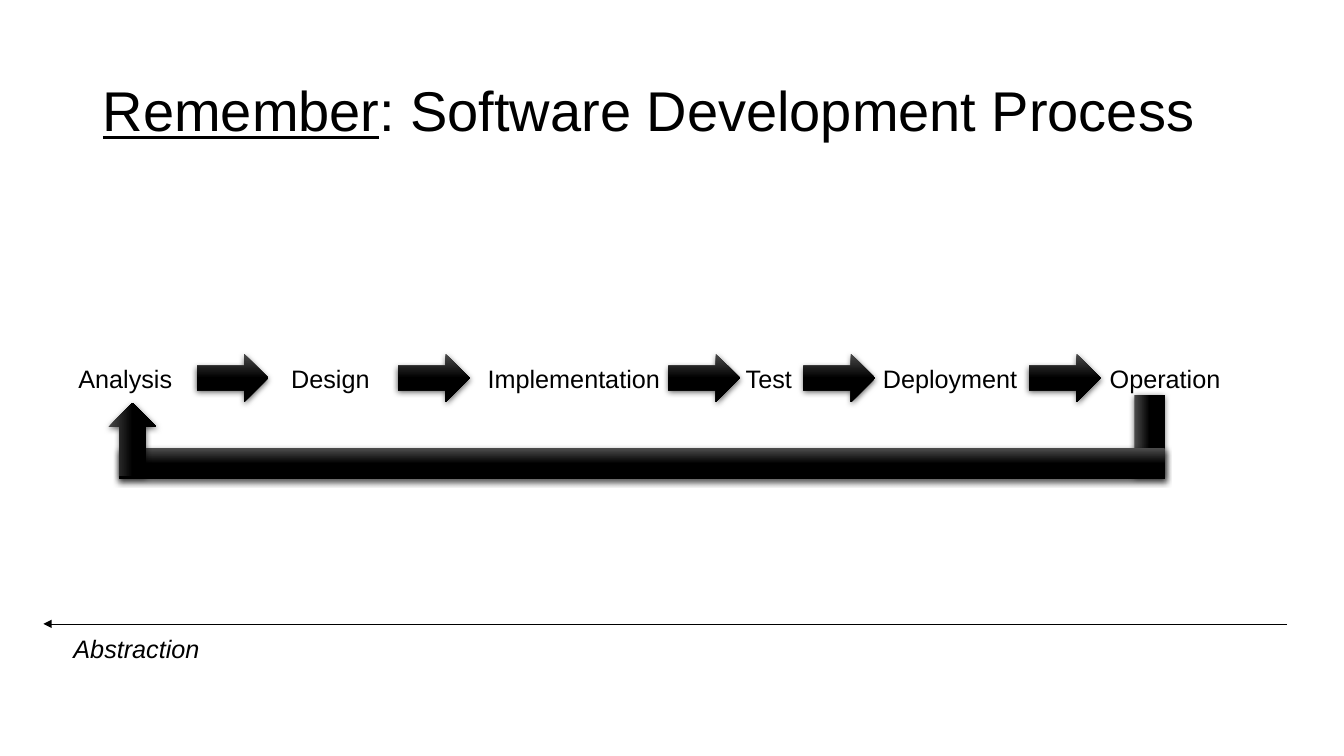
from pptx import Presentation
from pptx.dml.color import RGBColor
from pptx.enum.shapes import MSO_CONNECTOR, MSO_SHAPE
from pptx.enum.text import MSO_ANCHOR, MSO_AUTO_SIZE, PP_ALIGN
from pptx.oxml import parse_xml
from pptx.oxml.ns import nsdecls
from pptx.util import Inches, Pt

BLACK = RGBColor(0x00, 0x00, 0x00)
SHEEN = RGBColor(0x4B, 0x4B, 0x4B)
FONT = "Arial"

# The slide is a grid of 100 columns and 100 rows.
SLIDE_WIDTH, SLIDE_HEIGHT = Inches(13.333), Inches(7.5)
COLUMN, ROW = SLIDE_WIDTH / 100, SLIDE_HEIGHT / 100

# Boxes are left, top, width, height in columns and rows.
TITLE_BOX = (6.9, 5.33, 86.25, 19.33)
PROCESS_BOX = (5.1, 46.8, 86.55, 6.4)
LOOP_BOX = (8.06, 52.2, 78.6, 11.13)
ABSTRACTION_BOX = (3.23, 82.53, 92.55, 5.87)

LABEL_HEIGHT = 5.33
ARROW_WIDTH = 5.33
STEPS = [  # name, left and width within the process box
    ("Analysis", 0, 8.55),
    ("Design", 15.83, 7.43),
    ("Implementation", 30.45, 14.48),
    ("Test", 49.65, 4.95),
    ("Deployment", 59.85, 11.63),
    ("Operation", 76.73, 9.83),
]
STEP_ARROWS = [9.53, 24.53, 44.63, 54.68, 71.48]


def to_emu(left, top, width, height):
    return [round(length) for length in
            (left * COLUMN, top * ROW, width * COLUMN, height * ROW)]


def add_run(paragraph, text, size, underline=None, italic=None):
    run = paragraph.add_run()
    run.text = text
    font = run.font
    font.name, font.size = FONT, Pt(size)
    font.underline, font.italic = underline, italic
    font.color.rgb = BLACK


def add_label(slide, text, box, italic=None):
    label = slide.shapes.add_textbox(*to_emu(*box))
    frame = label.text_frame
    frame.word_wrap = False
    frame.auto_size = MSO_AUTO_SIZE.SHAPE_TO_FIT_TEXT
    add_run(frame.paragraphs[0], text, 18, italic=italic)


def add_glossy_arrow(shapes, box, turn=0, flip=False, adjustments=()):
    """Add a right arrow that fills the box once it has been turned."""
    left, top, width, height = to_emu(*box)
    if turn in (90, 270):
        left += (width - height) // 2
        top += (height - width) // 2
        width, height = height, width
    arrow = shapes.add_shape(MSO_SHAPE.RIGHT_ARROW, left, top, width, height)
    arrow.rotation = turn
    for index, value in enumerate(adjustments):
        arrow.adjustments[index] = value
    arrow.line.fill.background()
    properties = arrow._element.spPr
    if flip:
        properties.xfrm.set("flipV", "1")
    stops = "".join(
        f'<a:gs pos="{position * 1000}"><a:srgbClr val="{color}"/></a:gs>'
        for position, color in ((0, SHEEN), (50, BLACK), (100, BLACK)))
    properties.insert(2, parse_xml(
        f'<a:gradFill {nsdecls("a")} rotWithShape="1"><a:gsLst>{stops}</a:gsLst>'
        '<a:lin ang="5400000" scaled="0"/></a:gradFill>'))
    properties.append(parse_xml(
        f'<a:effectLst {nsdecls("a")}><a:outerShdw blurRad="{Pt(4.5)}" '
        f'dist="{Pt(1.5)}" dir="5400000" algn="ctr" rotWithShape="0">'
        f'<a:srgbClr val="{BLACK}"><a:alpha val="63000"/></a:srgbClr>'
        '</a:outerShdw></a:effectLst>'))


def add_title(slide, box):
    title = slide.shapes.title
    title.left, title.top, title.width, title.height = to_emu(*box)
    frame = title.text_frame
    frame.vertical_anchor = MSO_ANCHOR.MIDDLE
    frame.word_wrap = True
    paragraph = frame.paragraphs[0]
    paragraph.alignment = PP_ALIGN.LEFT
    paragraph.line_spacing = 0.9
    add_run(paragraph, "Remember", 40, underline=True)
    add_run(paragraph, ": Software Development Process", 40)


def add_process(slide, box):
    left, top, _, height = box
    label_top = top + (height - LABEL_HEIGHT) / 2
    for name, offset, width in STEPS:
        add_label(slide, name, (left + offset, label_top, width, LABEL_HEIGHT))
    for offset in STEP_ARROWS:
        add_glossy_arrow(slide.shapes, (left + offset, top, ARROW_WIDTH, height))


def add_feedback_loop(slide, box):
    """Add the grouped path from the last step back to the first."""
    left, top, width, height = box
    bar_width, bar_height = 2.25, 4
    head_width, head_height = 3.6, 9.73
    inset = 0.79
    shapes = slide.shapes.add_group_shape().shapes
    add_glossy_arrow(
        shapes, (left + width - bar_width, top, bar_width, 10.8),
        turn=90, flip=True, adjustments=(1, 0))
    add_glossy_arrow(
        shapes, (left + inset, top + height - bar_height, width - inset, bar_height),
        turn=180, flip=True, adjustments=(1, 0))
    add_glossy_arrow(
        shapes, (left, top + 1.07, head_width, head_height),
        turn=270, adjustments=(0.54, 0.5))


def add_abstraction_axis(slide, box):
    left, top, width, height = box
    start, y, length, _ = to_emu(*box)
    axis = slide.shapes.add_connector(
        MSO_CONNECTOR.STRAIGHT, start + length, y, start, y)
    axis.line.color.rgb = BLACK
    axis.line.width = Pt(0.5)
    axis.line._get_or_add_ln().append(
        parse_xml(f'<a:tailEnd {nsdecls("a")} type="triangle"/>'))
    axis._element.spPr.append(parse_xml(f'<a:effectLst {nsdecls("a")}/>'))
    label_box = (left + 1.5, top + height - LABEL_HEIGHT, 10.95, LABEL_HEIGHT)
    add_label(slide, "Abstraction", label_box, italic=True)


def main():
    presentation = Presentation()
    presentation.slide_width = SLIDE_WIDTH
    presentation.slide_height = SLIDE_HEIGHT
    title_only = presentation.slide_layouts.get_by_name("Title Only")
    slide = presentation.slides.add_slide(title_only)
    add_title(slide, TITLE_BOX)
    add_process(slide, PROCESS_BOX)
    add_feedback_loop(slide, LOOP_BOX)
    add_abstraction_axis(slide, ABSTRACTION_BOX)
    presentation.save("out.pptx")


if __name__ == "__main__":
    main()
